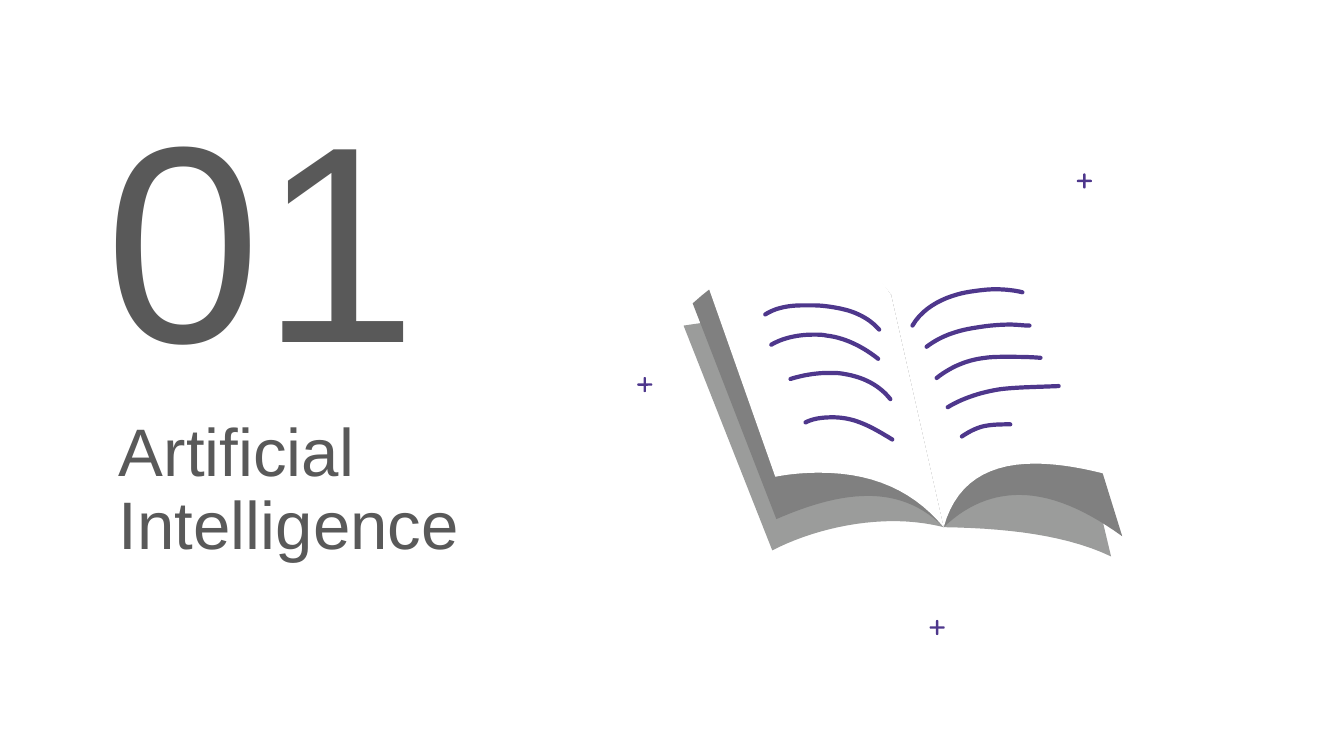
import pptx
import pptx.util
import pptx.dml.color
import pptx.enum.shapes
import pptx.enum.text

COLS, ROWS = 1333, 750
GREY, DARK, PALE, WHITE, INK = "595959", "808080", "9B9C9B", "FFFFFF", "4E378C"


def tint(code):
    return pptx.dml.color.RGBColor.from_string(code)


def trace(start, parts, steps=14):
    points = [start]
    for part in parts:
        if len(part) == 2:
            points.append(part)
            continue
        ax, ay = points[-1]
        bx, by, cx, cy, dx, dy = part
        for i in range(1, steps + 1):
            t = i / steps
            u = 1 - t
            k = (u ** 3, 3 * u * u * t, 3 * u * t * t, t ** 3)
            points.append((k[0] * ax + k[1] * bx + k[2] * cx + k[3] * dx,
                           k[0] * ay + k[1] * by + k[2] * cy + k[3] * dy))
    return points


class Board:
    font = "Arial"

    def __init__(self, deck):
        self.wide, self.high = deck.slide_width, deck.slide_height
        self.slide = deck.slides.add_slide(deck.slide_layouts[0])
        self.shapes = self.slide.shapes

    def spot(self, col, row):
        return round(col * self.wide / COLS), round(row * self.high / ROWS)

    def text(self, holder, words, box, size, anchor):
        holder.left, holder.top = self.spot(*box[:2])
        holder.width, holder.height = self.spot(*box[2:])
        frame = holder.text_frame
        frame.text = words
        frame.word_wrap = True
        frame.auto_size = pptx.enum.text.MSO_AUTO_SIZE.NONE
        frame.vertical_anchor = anchor
        frame.margin_left, frame.margin_top = self.spot(13, 13)
        frame.margin_right, frame.margin_bottom = self.spot(13, 13)
        para = frame.paragraphs[0]
        para.alignment = pptx.enum.text.PP_ALIGN.LEFT
        para.line_spacing = 0.9
        para.space_before = pptx.util.Pt(0)
        para.font.name = self.font
        para.font.size = pptx.util.Pt(size)
        para.font.bold = False
        para.font.color.rgb = tint(GREY)

    def outline(self, start, parts, close):
        points = [self.spot(*p) for p in trace(start, parts)]
        pen = self.shapes.build_freeform(*points[0])
        pen.add_line_segments(points[1:], close=close)
        shape = pen.convert_to_shape()
        shape.shadow.inherit = False
        return shape

    def page(self, color, start, *parts):
        shape = self.outline(start, parts, True)
        shape.fill.solid()
        shape.fill.fore_color.rgb = tint(color)
        shape.line.fill.background()

    def stroke(self, start, *parts):
        shape = self.outline(start, parts, False)
        shape.fill.background()
        shape.line.color.rgb = tint(INK)
        shape.line.width = pptx.util.Pt(3)
        shape.line._get_or_add_ln().set("cap", "rnd")

    def plus(self, col, row, span=15, thick=2.4):
        for w, h in ((span, thick), (thick, span)):
            bar = self.shapes.add_shape(
                pptx.enum.shapes.MSO_SHAPE.ROUNDED_RECTANGLE,
                *self.spot(col - w / 2, row - h / 2), *self.spot(w, h))
            bar.adjustments[0] = 0.5
            bar.shadow.inherit = False
            bar.fill.solid()
            bar.fill.fore_color.rgb = tint(INK)
            bar.line.fill.background()


def main():
    deck = pptx.Presentation()
    deck.slide_width = pptx.util.Inches(13.33)
    deck.slide_height = pptx.util.Inches(7.5)
    board = Board(deck)

    anchor = pptx.enum.text.MSO_ANCHOR
    title, number = board.slide.placeholders
    board.text(title, "Artificial Intelligence", (105, 400, 391, 175), 48, anchor.MIDDLE)
    board.text(number, "01", (92, 79, 391, 334), 200, anchor.BOTTOM)

    spine, fold = (884, 293), (936, 523)
    pages = (
        (PALE, spine, (678, 323), (766, 546), (799, 529, 843, 517, 886, 517),
         (903, 517, 920, 519, *fold), (1000, 524, 1058, 531, 1102, 552), (1045, 313)),
        (DARK, (800, 249), (767, 249, 728, 264, 687, 301), (770, 515),
         (800, 502, 831, 492, 861, 492), (887, 492, 913, 500, *fold), spine,
         (866, 267, 836, 249, 800, 249)),
        (DARK, (958, 247), (929, 247, 904, 261, *spine), fold,
         (959, 501, 984, 491, 1011, 491), (1043, 491, 1077, 506, 1113, 532),
         (1032, 271), (1006, 256, 981, 247, 958, 247)),
        (WHITE, (791, 240), (763, 240, 731, 249, 696, 266), (769, 473),
         (785, 470, 799, 469, 813, 469), (866, 469, 906, 487, *fold), spine,
         (861, 257, 829, 240, 791, 240)),
        (WHITE, (962, 236), (922, 236, 896, 255, *spine), fold,
         (948, 479, 980, 460, 1026, 460), (1051, 460, 1080, 465, 1113, 475),
         (1024, 247), (1001, 240, 980, 236, 962, 236)),
    )
    for page in pages:
        board.page(*page)

    strokes = (
        ((905, 323), (919, 299, 949, 291, 965, 289), (972, 288, 980, 287, 987, 287),
         (996, 287, 1006, 288, 1014, 290)),
        ((919, 344), (932, 334, 948, 328, 968, 325), (980, 323, 991, 322, 1002, 322),
         (1009, 322, 1015, 323, 1021, 323)),
        ((929, 375), (943, 364, 959, 357, 977, 355), (984, 354, 991, 354, 998, 354),
         (1009, 354, 1021, 354, 1032, 355)),
        ((940, 404), (955, 395, 973, 389, 993, 386), (1011, 384, 1029, 384, 1050, 383)),
        ((954, 433), (960, 429, 967, 425, 975, 423), (984, 421, 993, 421, 1002, 421)),
        ((759, 312), (770, 305, 783, 303, 797, 303), (800, 303, 803, 303, 806, 303),
         (817, 303, 830, 305, 841, 308), (854, 312, 864, 318, 872, 327)),
        ((765, 342), (777, 335, 792, 332, 807, 332), (811, 332, 816, 332, 820, 333),
         (838, 335, 856, 344, 871, 356)),
        ((784, 376), (797, 372, 810, 370, 822, 370), (827, 370, 832, 370, 837, 371),
         (856, 374, 872, 382, 883, 396)),
        ((799, 419), (807, 415, 816, 414, 826, 414), (833, 414, 840, 415, 847, 417),
         (860, 421, 872, 428, 885, 436)),
    )
    for stroke in strokes:
        board.stroke(*stroke)

    for col, row in ((639.5, 381.5), (1075.5, 179.5), (929.5, 622.5)):
        board.plus(col, row)

    deck.save("out.pptx")


if __name__ == "__main__":
    main()
